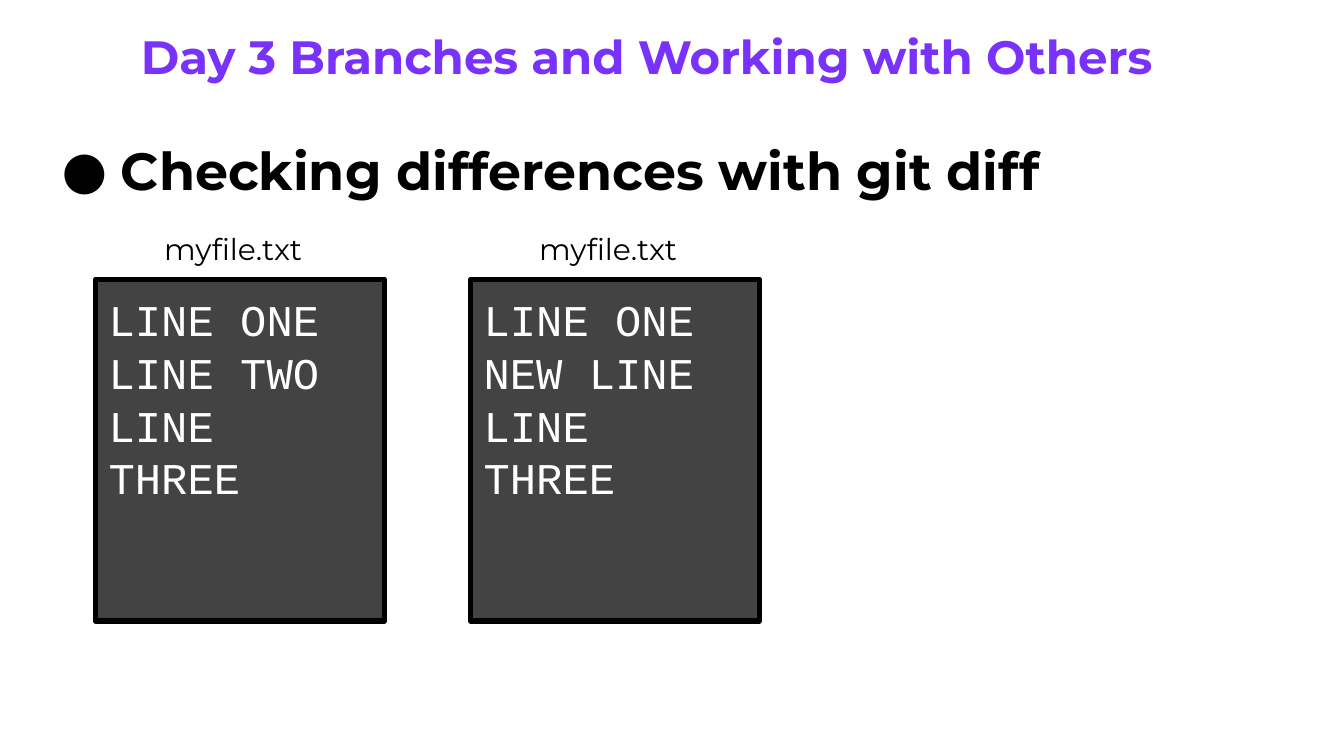
from dataclasses import dataclass

from lxml import etree
from pptx import Presentation
from pptx.dml.color import RGBColor
from pptx.enum.shapes import MSO_SHAPE
from pptx.enum.text import MSO_ANCHOR, PP_ALIGN
from pptx.oxml.ns import qn
from pptx.util import Inches, Pt

RECTANGLE = MSO_SHAPE.RECTANGLE
TOP = MSO_ANCHOR.TOP
LEFT, CENTER = PP_ALIGN.LEFT, PP_ALIGN.CENTER


@dataclass(frozen=True)
class Theme:
    purple: RGBColor = RGBColor(0x79, 0x32, 0xFC)
    black: RGBColor = RGBColor(0, 0, 0)
    white: RGBColor = RGBColor(0xFF, 0xFF, 0xFF)
    panel: RGBColor = RGBColor(0x43, 0x43, 0x43)
    sans: str = "Montserrat"
    mono: str = "Courier New"
    title: float = 25
    heading: float = 28
    label: float = 16
    code: float = 23.5


THEME = Theme()


def write(shape, lines, size, color, font=THEME.sans, bold=False, align=LEFT):
    frame = shape.text_frame
    settings = {"word_wrap": True, "vertical_anchor": TOP}
    for side in ("left", "top", "right", "bottom"):
        settings["margin_" + side] = Inches(0.1)
    for name, value in settings.items():
        setattr(frame, name, value)
    frame.text = "\n".join(lines)
    style = {"name": font, "size": Pt(size), "bold": bold}
    for paragraph in frame.paragraphs:
        paragraph.alignment = align
        for run in paragraph.runs:
            for name, value in style.items():
                setattr(run.font, name, value)
            run.font.color.rgb = color
    return frame


def add_text(slide, box, text, size, color, **style):
    textbox = slide.shapes.add_textbox(*map(Inches, box))
    return write(textbox, [text], size, color, **style)


def add_title(slide, box, text):
    add_text(slide, box, text, THEME.title, THEME.purple, bold=True)


def add_heading(slide, box, text):
    frame = add_text(slide, box, text, THEME.heading, THEME.black, bold=True)
    properties = frame.paragraphs[0]._p.get_or_add_pPr()
    properties.set("marL", str(Inches(0.5)))
    properties.set("indent", str(Inches(-0.44)))
    bullet_color = etree.SubElement(properties, qn("a:buClr"))
    etree.SubElement(bullet_color, qn("a:srgbClr"), val=str(THEME.black))
    etree.SubElement(properties, qn("a:buSzPts"), val=str(THEME.heading * 100))
    etree.SubElement(properties, qn("a:buFont"), typeface=THEME.sans)
    etree.SubElement(properties, qn("a:buChar"), char="●")


def add_file(slide, box, name, lines):
    left, top, width, height = box
    # Dark panel with the file content
    panel = slide.shapes.add_shape(RECTANGLE, *map(Inches, box))
    panel.shadow.inherit = False
    panel.fill.solid()
    panel.fill.fore_color.rgb = THEME.panel
    panel.line.color.rgb = THEME.black
    panel.line.width = Pt(3)
    write(panel, lines, THEME.code, THEME.white, font=THEME.mono)
    # File name above the panel
    add_text(slide, (left + 0.29, top - 0.46, 1.47, 0.47), name,
             THEME.label, THEME.black, align=CENTER)


def main():
    deck = Presentation()
    # Widescreen, 16:9
    deck.slide_width = Inches(10)
    deck.slide_height = deck.slide_width * 9 // 16
    slide = deck.slides.add_slide(deck.slide_layouts[6])

    add_heading(slide, (0.3, 0.93, 9.25, 1.14),
                "Checking differences with git diff")
    add_title(slide, (0.95, 0.11, 8.4, 0.62),
              "Day 3 Branches and Working with Others")

    # Two versions of the same file, side by side
    versions = [
        ["LINE ONE", "LINE TWO", "LINE THREE"],
        ["LINE ONE", "NEW LINE", "LINE THREE"],
    ]
    for column, lines in enumerate(versions):
        add_file(slide, (0.71 + column * 2.79, 2.08, 2.15, 2.54),
                 "myfile.txt", lines)

    deck.save("out.pptx")


if __name__ == "__main__":
    main()
